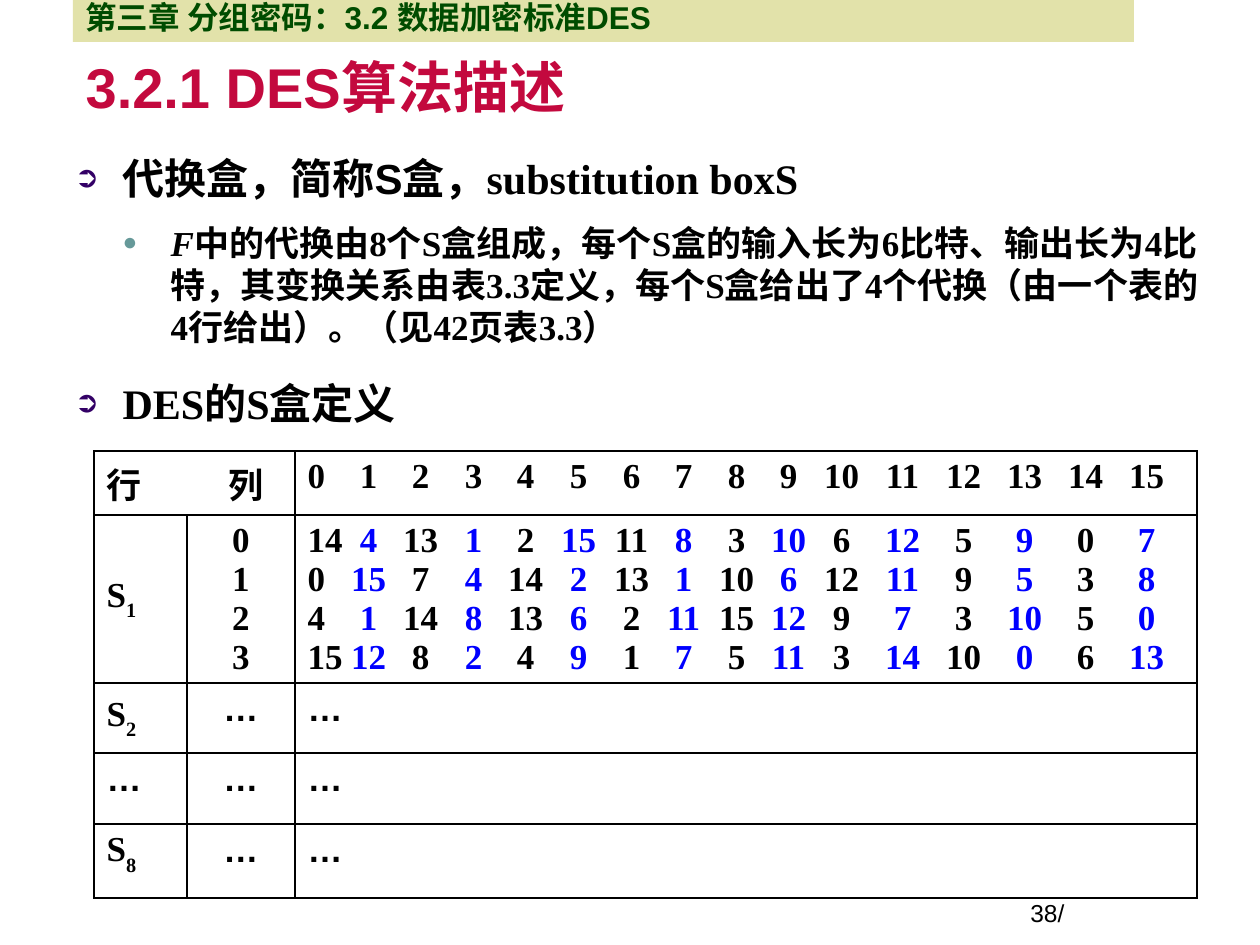
import dataclasses

import lxml.etree
import pptx
import pptx.dml.color
import pptx.enum.shapes
import pptx.enum.text
import pptx.oxml.ns
import pptx.util

ALIGN = pptx.enum.text.PP_ALIGN
ANCHOR = pptx.enum.text.MSO_ANCHOR
EMU_PER_PX = 914400 / 126


@dataclasses.dataclass(frozen=True)
class Theme:
    sans: str = "Arial"
    serif: str = "Times New Roman"
    black: str = "000000"
    blue: str = "0000FF"
    title: str = "C3093E"
    banner_fill: str = "E2E2AA"
    banner_text: str = "004C00"
    bullets: tuple = (("➲", "330066"), ("●", "669999"))
    title_size: int = 32
    topic_size: int = 24
    text_size: int = 20
    banner_size: int = 18
    page_size: int = 14


THEME = Theme()

S1_ROWS = (
    (14, 4, 13, 1, 2, 15, 11, 8, 3, 10, 6, 12, 5, 9, 0, 7),
    (0, 15, 7, 4, 14, 2, 13, 1, 10, 6, 12, 11, 9, 5, 3, 8),
    (4, 1, 14, 8, 13, 6, 2, 11, 15, 12, 9, 7, 3, 10, 5, 0),
    (15, 12, 8, 2, 4, 9, 1, 7, 5, 11, 3, 14, 10, 0, 6, 13),
)
# Centres of columns 1 to 15; the two-digit headings stand wider apart
NUMBER_TABS = [round(8 + 52.6 * i) if i <= 10 else 534 + 61 * (i - 10)
               for i in range(1, 16)]


def px(length):
    return pptx.util.Emu(round(length * EMU_PER_PX))


def rgb(color):
    return pptx.dml.color.RGBColor.from_string(color)


def add_element(parent, tag, **attributes):
    element = lxml.etree.SubElement(parent, pptx.oxml.ns.qn(tag))
    for name, value in attributes.items():
        element.set(name, str(value))
    return element


def style(font, size, name, color=THEME.black, bold=True):
    font.size = pptx.util.Pt(size)
    font.name = name
    font.bold = bold
    font.color.rgb = rgb(color)


def place(shape, left, top, width, height):
    shape.left, shape.top = px(left), px(top)
    shape.width, shape.height = px(width), px(height)


def add_tabs(paragraph, positions, align):
    tabs = add_element(paragraph._p.get_or_add_pPr(), "a:tabLst")
    for position in positions:
        add_element(tabs, "a:tab", pos=px(position), algn=align)


# Title, banner and page number
def fill_title(title):
    place(title, 73, 53, 1061, 73)
    frame = title.text_frame
    frame.auto_size = pptx.enum.text.MSO_AUTO_SIZE.NONE
    frame.vertical_anchor = ANCHOR.BOTTOM
    frame.text = "3.2.1 DES算法描述"
    frame.paragraphs[0].alignment = ALIGN.LEFT
    style(frame.paragraphs[0].font, THEME.title_size, THEME.sans, THEME.title)


def add_banner(slide):
    banner = slide.shapes.add_shape(
        pptx.enum.shapes.MSO_SHAPE.RECTANGLE, px(73), px(0), px(1061), px(42))
    banner.shadow.inherit = False
    banner.fill.solid()
    banner.fill.fore_color.rgb = rgb(THEME.banner_fill)
    banner.line.fill.background()
    frame = banner.text_frame
    frame.vertical_anchor = ANCHOR.BOTTOM
    frame.text = "第三章 分组密码：3.2 数据加密标准DES"
    frame.paragraphs[0].alignment = ALIGN.LEFT
    style(frame.paragraphs[0].font, THEME.banner_size, THEME.sans,
          THEME.banner_text)


def add_page_number(slide):
    box = slide.shapes.add_textbox(px(1018), px(892), px(179), px(42))
    box.text_frame.word_wrap = True
    box.text_frame.text = "38/"
    style(box.text_frame.paragraphs[0].font, THEME.page_size, THEME.sans,
          bold=False)


# Bulleted list
def format_bullet(paragraph, level, first):
    size = (THEME.topic_size, THEME.text_size)[level]
    character, color = THEME.bullets[level]
    paragraph.level = level
    paragraph.alignment = (ALIGN.JUSTIFY, ALIGN.LEFT)[level]
    paragraph.line_spacing = (1.2, 1.0)[level]
    paragraph.space_before = pptx.util.Pt(0 if first else size * 0.4)
    paragraph.space_after = pptx.util.Pt(size * 0.1)
    properties = paragraph._p.get_or_add_pPr()
    properties.set("marL", str(px(48 * (level + 1))))
    properties.set("indent", str(px(-48)))
    add_element(add_element(properties, "a:buClr"), "a:srgbClr", val=color)
    add_element(properties, "a:buSzPct", val=70000)
    add_element(properties, "a:buChar", char=character)
    style(paragraph.font, size, THEME.serif)


def fill_body(body):
    place(body, 62, 136, 1166, 304)
    frame = body.text_frame
    frame.auto_size = pptx.enum.text.MSO_AUTO_SIZE.NONE
    items = (
        (0, ("代换盒，简称S盒，", "substitution boxS")),
        (1, ("F", "中的代换由8个S盒组成，每个S盒的输入长为6比特、输出长为4比特，"
             "其变换关系由表3.3定义，每个S盒给出了4个代换（由一个表的4行给出）。"
             "（见42页表3.3）")),
        (0, ("DES的S盒定义",)),
    )
    for index, (level, texts) in enumerate(items):
        paragraph = frame.add_paragraph() if index else frame.paragraphs[0]
        format_bullet(paragraph, level, index == 0)
        for text in texts:
            paragraph.add_run().text = text
    frame.paragraphs[0].runs[0].font.name = THEME.sans
    frame.paragraphs[1].runs[0].font.italic = True


# Table of S-boxes
def format_cell(cell):
    cell.fill.background()
    properties = cell._tc.get_or_add_tcPr()
    for index, side in enumerate(("a:lnL", "a:lnR", "a:lnT", "a:lnB")):
        line = lxml.etree.Element(pptx.oxml.ns.qn(side), w="12700")
        fill = add_element(line, "a:solidFill")
        add_element(fill, "a:srgbClr", val=THEME.black)
        properties.insert(index, line)


def write_cell(cell, text, align=ALIGN.LEFT, font=THEME.serif, tabs=()):
    cell.text = text
    for paragraph in cell.text_frame.paragraphs:
        paragraph.alignment = align
        if tabs:
            add_tabs(paragraph, tabs, "l")
        style(paragraph.font, THEME.text_size, font)


def write_box_name(cell, number):
    write_cell(cell, "S")
    run = cell.text_frame.paragraphs[0].add_run()
    run.text = str(number)
    run._r.get_or_add_rPr().set("baseline", "-30000")


def write_numbers(cell, rows, odd_color):
    frame = cell.text_frame
    for index, numbers in enumerate(rows):
        paragraph = frame.add_paragraph() if index else frame.paragraphs[0]
        add_tabs(paragraph, NUMBER_TABS, "ctr")
        style(paragraph.font, THEME.text_size, THEME.serif)
        for column, number in enumerate(numbers):
            run = paragraph.add_run()
            run.text = f"\t{number}" if column else str(number)
            if column % 2:
                run.font.color.rgb = rgb(odd_color)


def add_box_table(slide):
    widths, heights = (93, 108, 902), (64, 168, 70, 71, 74)
    table = slide.shapes.add_table(
        len(heights), len(widths), px(94), px(451),
        px(sum(widths)), px(sum(heights))).table
    table.first_row = table.horz_banding = False
    for column, width in zip(table.columns, widths):
        column.width = px(width)
    for row, height in zip(table.rows, heights):
        row.height = px(height)
    for cell in table.iter_cells():
        format_cell(cell)

    # Heading row
    table.cell(0, 0).merge(table.cell(0, 1))
    write_cell(table.cell(0, 0), "行\t列", tabs=[122])
    write_numbers(table.cell(0, 2), [range(16)], THEME.black)

    # First box in full, centred in its row without vertical margins
    for cell in table.rows[1].cells:
        cell.margin_top = cell.margin_bottom = 0
        cell.vertical_anchor = ANCHOR.MIDDLE
    write_cell(table.cell(1, 1), "0\n1\n2\n3", ALIGN.CENTER)
    write_numbers(table.cell(1, 2), S1_ROWS, THEME.blue)

    # Other boxes abridged
    for row, number in ((1, 1), (2, 2), (4, 8)):
        write_box_name(table.cell(row, 0), number)
    table.cell(2, 0).vertical_anchor = ANCHOR.MIDDLE
    write_cell(table.cell(3, 0), "…", font=THEME.sans)
    for row in (2, 3, 4):
        write_cell(table.cell(row, 1), "…", ALIGN.CENTER, THEME.sans)
        write_cell(table.cell(row, 2), "…", font=THEME.sans)


def main():
    presentation = pptx.Presentation()
    presentation.slide_width, presentation.slide_height = px(1260), px(945)
    slide = presentation.slides.add_slide(presentation.slide_layouts[1])
    fill_title(slide.shapes.title)
    fill_body(slide.placeholders[1])
    add_page_number(slide)
    add_banner(slide)
    add_box_table(slide)
    presentation.save("out.pptx")


if __name__ == "__main__":
    main()
